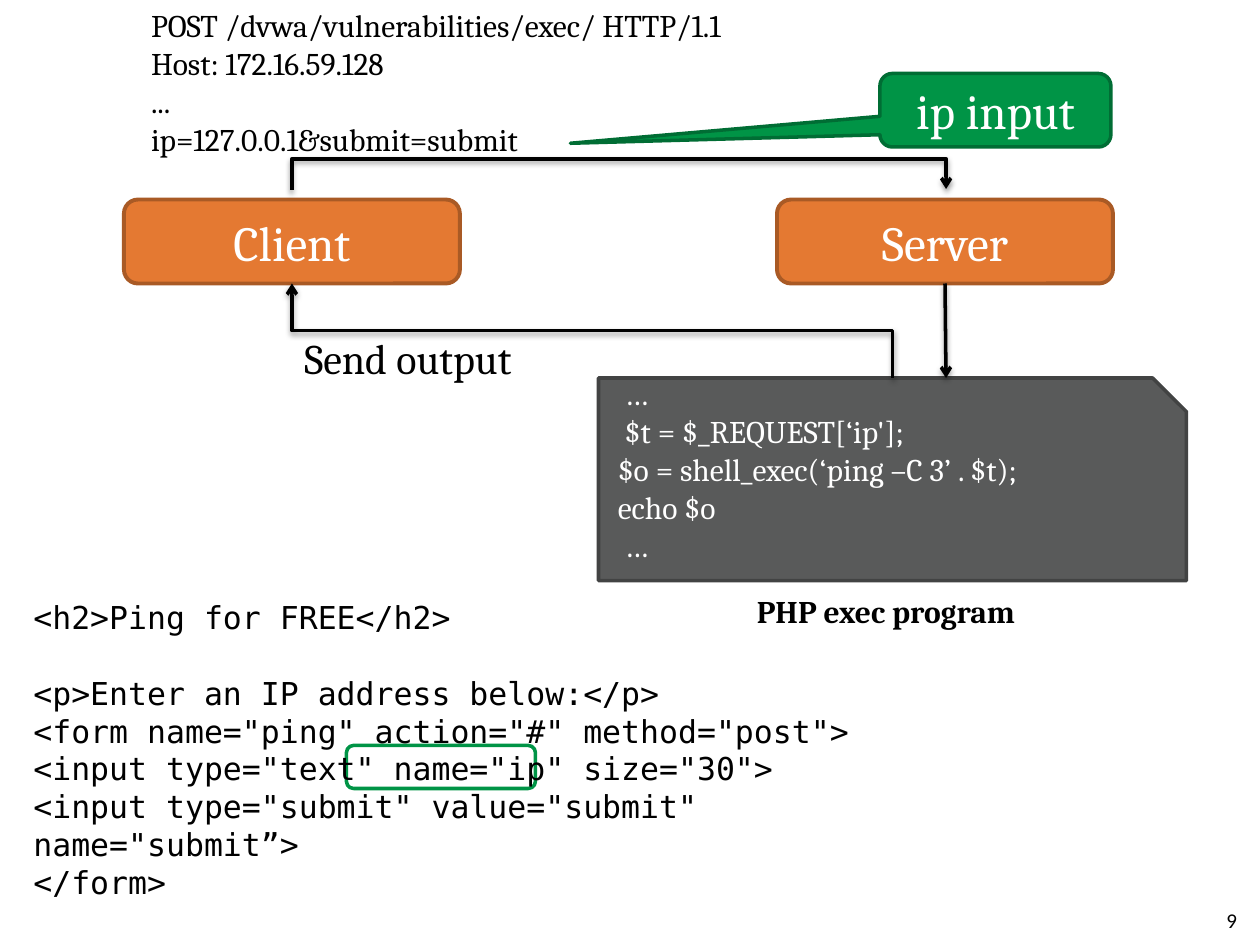
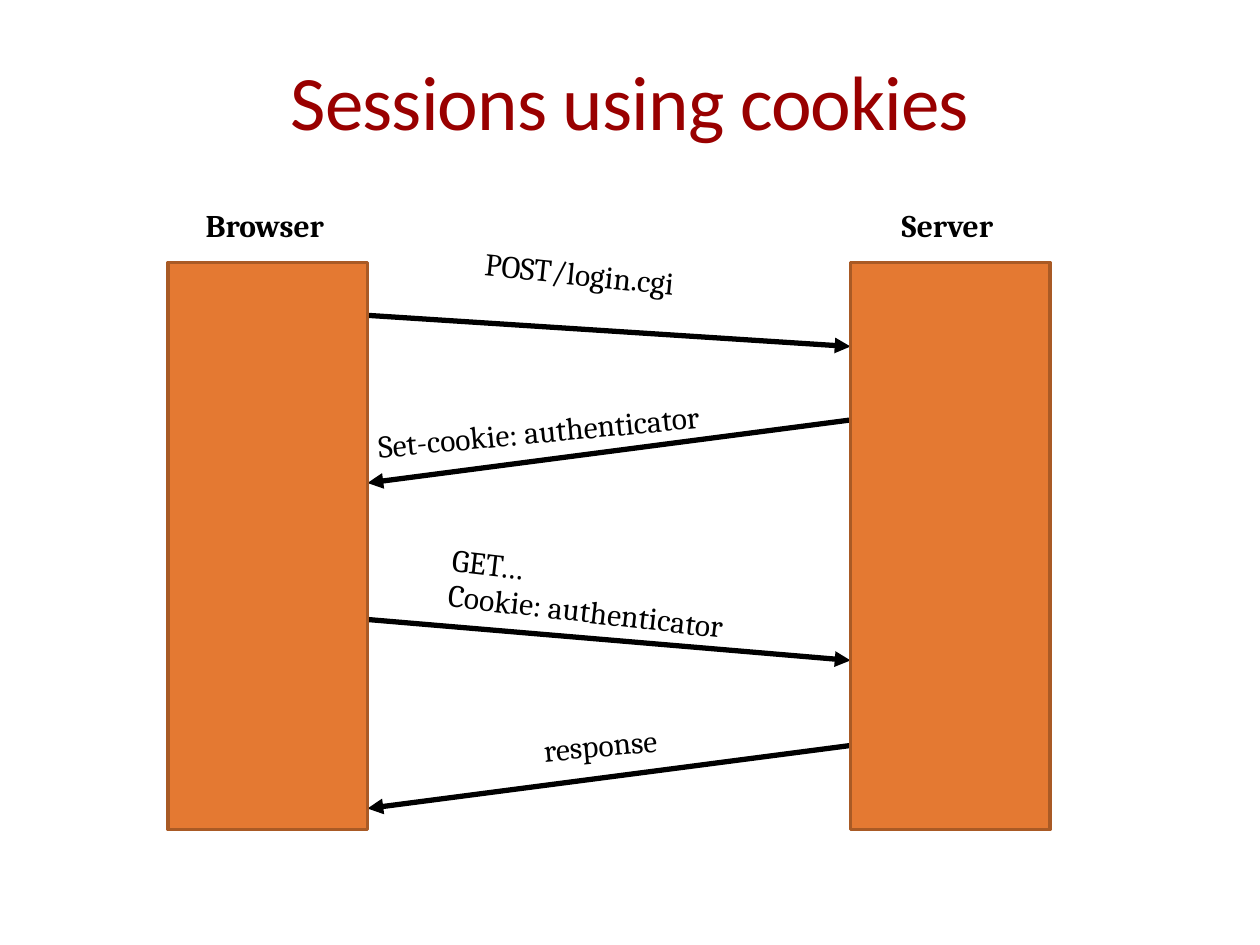
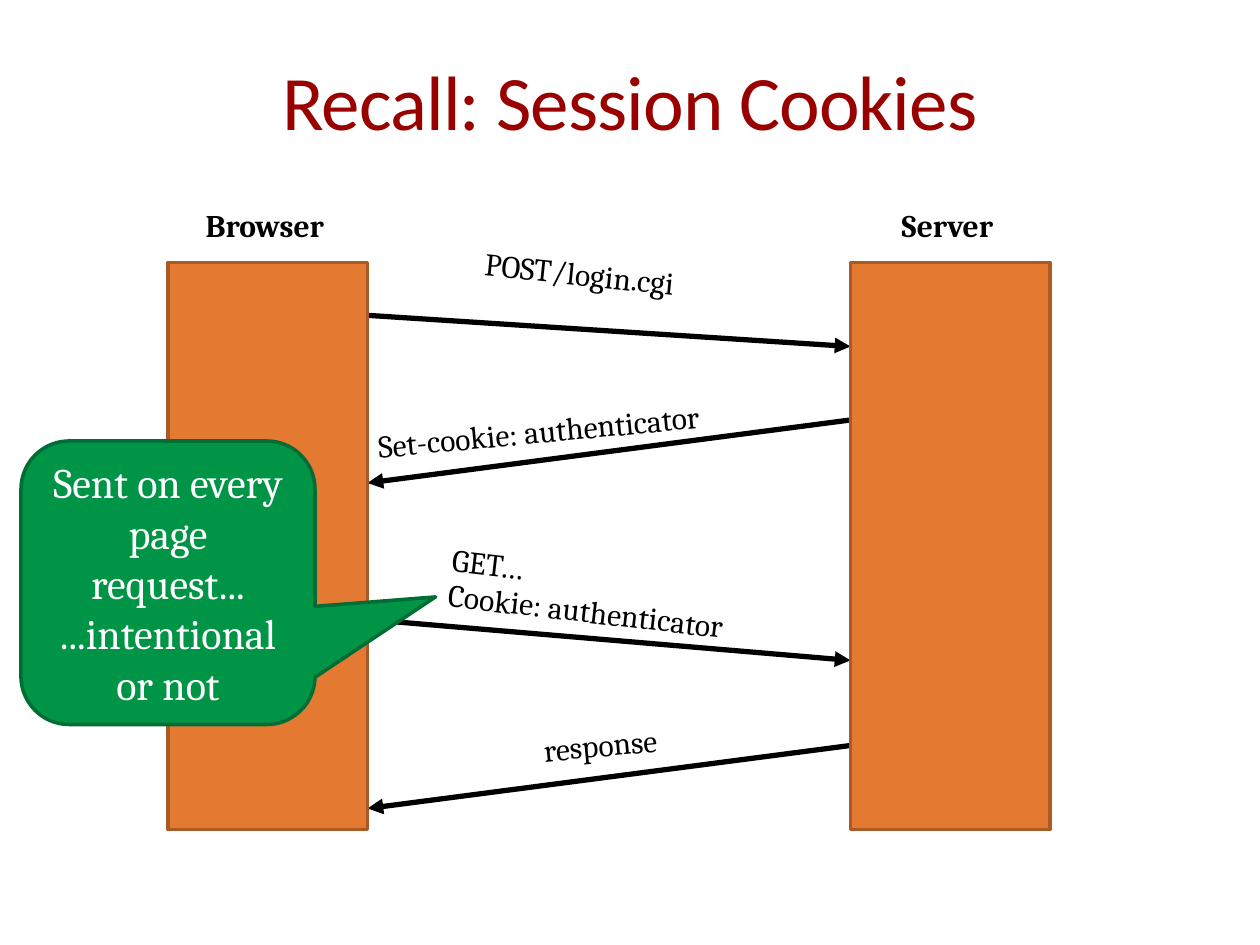
"""Build three slides on command injection and session cookies."""
from lxml import etree
from pptx import Presentation
from pptx.dml.color import RGBColor
from pptx.enum.shapes import MSO_CONNECTOR as LINK, MSO_SHAPE as SHAPE
from pptx.enum.text import MSO_ANCHOR as ANCHOR, MSO_AUTO_SIZE as FIT, PP_ALIGN as ALIGN
from pptx.oxml.ns import qn
from pptx.util import Inches, Pt

BLACK = RGBColor(0x00, 0x00, 0x00)
WHITE = RGBColor(0xFF, 0xFF, 0xFF)
TITLE_RED = RGBColor(0x99, 0x00, 0x00)
ORANGE = RGBColor(0xE4, 0x79, 0x32)
BROWN = RGBColor(0xA9, 0x5A, 0x25)
GREEN = RGBColor(0x00, 0x94, 0x46)
DARK_GREEN = RGBColor(0x00, 0x6D, 0x34)
GRAY = RGBColor(0x59, 0x5A, 0x5A)
DARK_GRAY = RGBColor(0x42, 0x43, 0x43)

deck = Presentation()
deck.slide_width, deck.slide_height = Inches(10), Inches(7.5)
CELL = deck.slide_width / 120
BLANK, TITLE_ONLY = deck.slide_layouts[6], deck.slide_layouts[5]


def write(holder, text, font="Cambria", size=18, color=BLACK, bold=None, align=ALIGN.LEFT,
          anchor=ANCHOR.TOP, wrap=True, grow=False, leading=None, gaps=None, spacing=None):
    frame = holder.text_frame
    frame.text = text
    frame.word_wrap = wrap
    frame.vertical_anchor = anchor
    frame.auto_size = FIT.SHAPE_TO_FIT_TEXT if grow else FIT.NONE
    for row, paragraph in enumerate(frame.paragraphs):
        paragraph.alignment = align
        if leading:
            paragraph.line_spacing = Pt(leading)
        if gaps and row in gaps:
            paragraph.space_before = Pt(gaps[row])
        for run in paragraph.runs:
            run.font.name, run.font.size, run.font.bold = font, Pt(size), bold
            run.font.color.rgb = color
            if spacing:
                run.font._element.set("spc", str(spacing))


def arrow(slide, start, end, width=2, head="arrow", shadow=True, turn=0, bend=0.5):
    """Join two grid points; turn 1 or -1 makes an elbow that leaves vertically."""
    ends = [start, end]
    if turn:
        mid_x, mid_y = [(a + b) / 2 for a, b in zip(start, end)]
        ends = [(mid_x + turn * (y - mid_y), mid_y - turn * (x - mid_x)) for x, y in ends]
    link = slide.shapes.add_connector(LINK.ELBOW if turn else LINK.STRAIGHT,
                                      *[round(v * CELL) for point in ends for v in point])
    link.line.color.rgb, link.line.width = BLACK, Pt(width)
    props = link.element.spPr
    if turn:
        props.find(qn("a:xfrm")).set("rot", str(turn * 90 % 360 * 60000))
        guides = props.find(qn("a:prstGeom")).find(qn("a:avLst"))
        etree.SubElement(guides, qn("a:gd"), name="adj1", fmla=f"val {round(bend * 100000)}")
    etree.SubElement(props.find(qn("a:ln")), qn("a:tailEnd"), type=head)
    effects = etree.SubElement(props, qn("a:effectLst"))
    if shadow:
        cast = etree.SubElement(effects, qn("a:outerShdw"), blurRad="40000", dist="20000",
                                dir="5400000", rotWithShape="0")
        tint = etree.SubElement(cast, qn("a:srgbClr"), val=str(BLACK))
        etree.SubElement(tint, qn("a:alpha"), val="38000")


REQUEST = """POST /dvwa/vulnerabilities/exec/ HTTP/1.1
Host: 172.16.59.128
...
ip=127.0.0.1&submit=submit"""
FORM = """<h2>Ping for FREE</h2>
<p>Enter an IP address below:</p>
<form name="ping" action="#" method="post">
<input type="text" name="ip" size="30">
<input type="submit" value="submit" name="submit”>
</form>"""
PROGRAM = """  …
  $t = $_REQUEST[‘ip'];
 $o = shell_exec(‘ping –C 3’ . $t);
 echo $o
  …"""
CENTERED = dict(color=WHITE, align=ALIGN.CENTER, anchor=ANCHOR.MIDDLE)
FREE = dict(wrap=False, grow=True)

exec_flow = [
    (SHAPE.ROUNDED_RECTANGLE, (74, 19, 32, 8), ORANGE, BROWN, 2.25, (),
     "Server", dict(CENTERED, size=28)),
    (SHAPE.ROUNDED_RECTANGLE, (11.8, 19, 32, 8), ORANGE, BROWN, 2.25, (),
     "Client", dict(CENTERED, size=28)),
    (SHAPE.SNIP_1_RECTANGLE, (57, 36, 56, 19.3), GRAY, DARK_GRAY, 2, (),
     PROGRAM, dict(color=WHITE, anchor=ANCHOR.MIDDLE)),
    (SHAPE.ROUNDED_RECTANGULAR_CALLOUT, (83.8, 7, 22, 7), GREEN, DARK_GREEN, 2,
     (-1.84, 0.45, 0.17), "ip input", dict(CENTERED, size=28)),
    (SHAPE.ROUNDED_RECTANGLE, (33, 71, 18, 4.1), None, GREEN, 2, (), "", {}),
]
exec_notes = [
    ((91, 85.2, 28, 4.8), 0, "9",
     dict(font="Calibri", size=12, align=ALIGN.RIGHT, anchor=ANCHOR.MIDDLE)),
    ((27.8, 31.1, 23.4, 6), 0, "Send output", dict(FREE, size=24)),
    ((2, 56.4, 87.4, 26.6), 0, FORM, dict(font="DejaVu Sans Mono", grow=True, gaps={1: 21.5})),
    ((70.9, 55.8, 28.1, 4.8), 0, "PHP exec program", dict(FREE, bold=True)),
    ((13.2, 0, 61.1, 15.7), 0, REQUEST, FREE),
]
session_bars = [(SHAPE.RECTANGLE, (left, 25, 19, 54), ORANGE, BROWN, 2, (), "", {})
                for left in (16, 81)]
session_notes = [
    ((84.7, 19, 11.6, 4.8), 0, "Server", dict(FREE, bold=True)),
    ((18.4, 19, 14.3, 4.8), 0, "Browser", dict(FREE, bold=True)),
    ((44.9, 24, 28.2, 6), 5.8, "POST/login.cgi", FREE),
    ((34.8, 38, 46.8, 6), -5.4, "Set-cookie: authenticator", FREE),
    ((41.6, 53, 34.3, 7.9), 6.7, "GET…\nCookie: authenticator", dict(grow=True, leading=20)),
    ((50.6, 68.4, 15.7, 5.3), -5.4, "response", FREE),
]
session_messages = [((34.5, 30), (81, 33)), ((81, 40), (35, 46)),
                    ((35, 59), (81, 62.9)), ((81, 71), (35, 77))]
warning = (SHAPE.ROUNDED_RECTANGULAR_CALLOUT, (2, 42, 28, 27), GREEN, DARK_GREEN, 2,
           (0.91, 0.05, 0.17), "Sent on every page request...\v...intentional or not",
           dict(CENTERED, size=24))

pages = [
    (None, exec_flow, exec_notes, [], []),
    ("Sessions using cookies", session_bars, session_notes, session_messages, []),
    ("Recall: Session Cookies", session_bars, session_notes, session_messages, [warning]),
]
for title, blocks, notes, messages, callouts in pages:
    slide = deck.slides.add_slide(TITLE_ONLY if title else BLANK)
    if title:
        heading = slide.shapes.title
        heading.left, heading.top, heading.width, heading.height = [
            round(v * CELL) for v in (6, 2, 108, 15)]
        heading.text_frame.margin_left = heading.text_frame.margin_right = 0
        write(heading, title, font="Calibri", size=44, color=TITLE_RED, align=ALIGN.CENTER,
              anchor=ANCHOR.MIDDLE, spacing=-50)
    for start, end in messages:
        arrow(slide, start, end, width=3, head="triangle", shadow=False)
    for kind, box, fill, edge, weight, adjust, text, style in blocks + callouts:
        block = slide.shapes.add_shape(kind, *[round(v * CELL) for v in box])
        block.shadow.inherit = False
        if fill is None:
            block.fill.background()
        else:
            block.fill.solid()
            block.fill.fore_color.rgb = fill
        block.line.color.rgb, block.line.width = edge, Pt(weight)
        for index, value in enumerate(adjust):
            block.adjustments[index] = value
        if text == PROGRAM:
            block.text_frame.margin_bottom = Inches(0.35)
        if text:
            write(block, text, **style)
    for box, angle, text, style in notes:
        note = slide.shapes.add_textbox(*[round(v * CELL) for v in box])
        note.rotation = angle
        write(note, text, **style)

exec_slide = deck.slides[0]
arrow(exec_slide, (27.8, 18.1), (90.1, 18), turn=1, bend=30)
arrow(exec_slide, (85, 36), (27.8, 27), turn=-1)
arrow(exec_slide, (90, 27), (90.1, 36))

deck.save("out.pptx")
